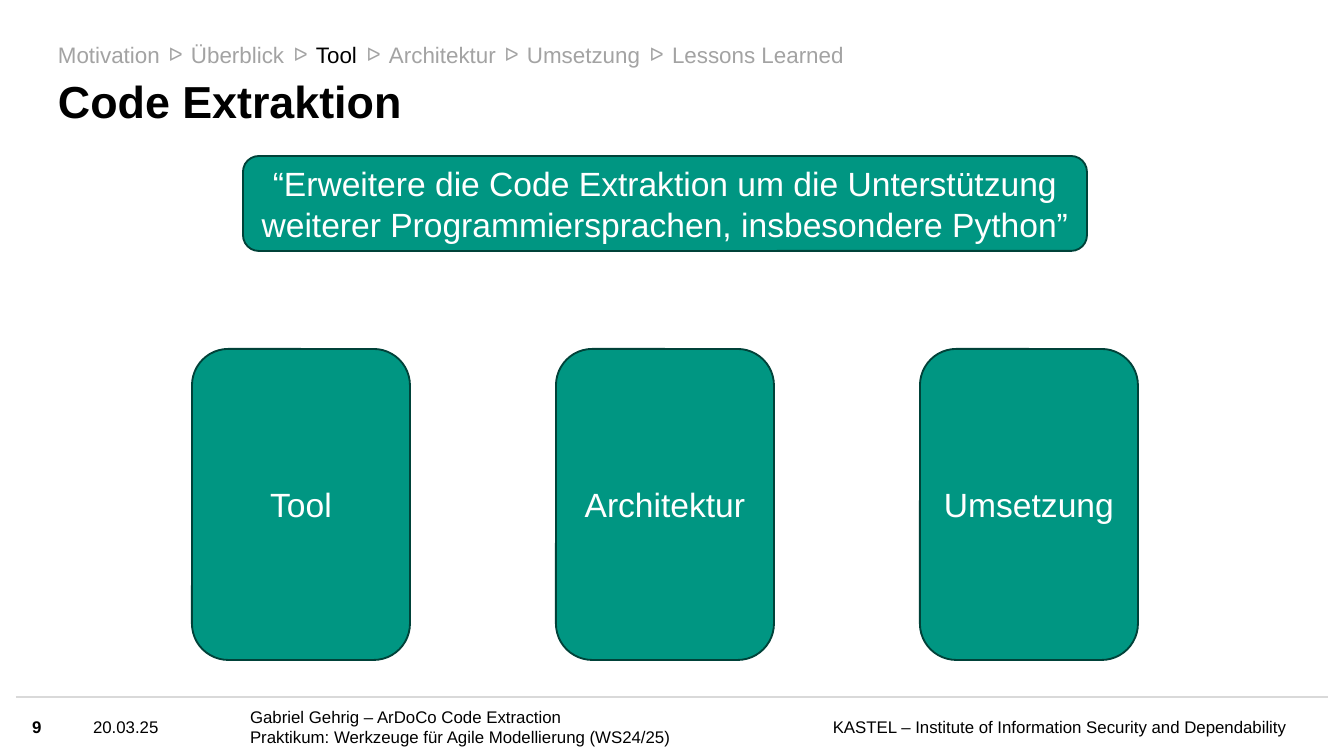
from dataclasses import dataclass

import lxml.etree
import pptx
import pptx.dml.color
import pptx.enum.shapes
import pptx.enum.text
import pptx.oxml.ns
import pptx.util

PX = 914400 / 134.4
FONT = "Arial"
COLORS = {
    "text": "000000",
    "muted": "A3A3A3",
    "rule": "D9D9D9",
    "box": "009682",
    "border": "004239",
    "on_box": "FFFFFF",
}
ALIGN = pptx.enum.text.PP_ALIGN
ANCHOR = pptx.enum.text.MSO_ANCHOR


@dataclass(frozen=True)
class Box:
    left: int
    top: int
    width: int
    height: int

    def emu(self) -> list[int]:
        return [px(n) for n in (self.left, self.top, self.width, self.height)]


@dataclass(frozen=True)
class Style:
    size: int
    color: str = "text"
    bold: bool = False
    align: ALIGN = ALIGN.LEFT


@dataclass(frozen=True)
class Crumb:
    text: str
    width: int


@dataclass(frozen=True)
class FooterItem:
    lines: tuple[str, ...]
    left: int
    width: int
    style: Style = Style(9)


CRUMBS = [
    Crumb("Motivation", 102),
    Crumb("Überblick", 94),
    Crumb("Tool", 42),
    Crumb("Architektur", 107),
    Crumb("Umsetzung", 114),
    Crumb("Lessons Learned", 172),
]
CURRENT = "Tool"
CARDS = ["Tool", "Architektur", "Umsetzung"]
FOOTER = [
    FooterItem(("9",), 32, 48, Style(9, bold=True)),
    FooterItem(("20.03.25",), 93, 150),
    FooterItem(("Gabriel Gehrig – ArDoCo Code Extraction",
                "Praktikum: Werkzeuge für Agile Modellierung (WS24/25)"), 250, 542),
    FooterItem(("KASTEL – Institute of Information Security and Dependability",),
               809, 477, Style(9, align=ALIGN.RIGHT)),
]


def px(n: int) -> int:
    return round(n * PX)


def rgb(name: str) -> pptx.dml.color.RGBColor:
    return pptx.dml.color.RGBColor.from_string(COLORS[name])


def write(tf, lines: tuple[str, ...], style: Style) -> None:
    for i, line in enumerate(lines):
        p = tf.paragraphs[0] if i == 0 else tf.add_paragraph()
        p.alignment = style.align
        r = p.add_run()
        r.text = line
        r.font.name = FONT
        r.font.size = pptx.util.Pt(style.size)
        r.font.bold = style.bold
        r.font.color.rgb = rgb(style.color)


def set_frame(tf, anchor: ANCHOR, pad: int = 0, wrap: bool = True) -> None:
    """Clear the side insets and set the vertical ones to pad."""
    tf.margin_left = tf.margin_right = 0
    tf.margin_top = tf.margin_bottom = px(pad)
    tf.vertical_anchor = anchor
    tf.word_wrap = wrap
    tf.auto_size = pptx.enum.text.MSO_AUTO_SIZE.NONE


def add_label(slide, box: Box, lines: tuple[str, ...], style: Style,
              anchor: ANCHOR = ANCHOR.MIDDLE, pad: int = 0, wrap: bool = True) -> None:
    tf = slide.shapes.add_textbox(*box.emu()).text_frame
    set_frame(tf, anchor, pad, wrap)
    write(tf, lines, style)


def add_card(slide, box: Box, text: str) -> None:
    sp = slide.shapes.add_shape(
        pptx.enum.shapes.MSO_SHAPE.ROUNDED_RECTANGLE, *box.emu())
    sp.shadow.inherit = False
    sp.fill.solid()
    sp.fill.fore_color.rgb = rgb("box")
    sp.line.color.rgb = rgb("border")
    sp.line.width = pptx.util.Pt(1)
    sp.text_frame.word_wrap = True
    sp.text_frame.vertical_anchor = ANCHOR.MIDDLE
    write(sp.text_frame, (text,), Style(18, "on_box", align=ALIGN.CENTER))


def add_breadcrumbs(slide) -> None:
    left, gap, arrow_width = 58, 31, 43
    for i, crumb in enumerate(CRUMBS):
        if i:
            arrow = Box(left - (gap + arrow_width) // 2, 36, arrow_width, 36)
            add_label(slide, arrow, ("ᐅ",), Style(10, "muted", align=ALIGN.CENTER),
                      ANCHOR.TOP, pad=7)
        color = "text" if crumb.text == CURRENT else "muted"
        add_label(slide, Box(left, 34, crumb.width, 40), (crumb.text,),
                  Style(12, color), ANCHOR.TOP, pad=7, wrap=False)
        left += crumb.width + gap


def add_title(slide, text: str) -> None:
    title = slide.shapes.title
    title.left, title.top, title.width, title.height = Box(58, 43, 1009, 85).emu()
    set_frame(title.text_frame, ANCHOR.BOTTOM)
    write(title.text_frame, (text,), Style(24, bold=True))
    title.text_frame.paragraphs[0].line_spacing = 0.9


def add_footer(slide) -> None:
    top = 697
    rule = slide.shapes.add_connector(
        pptx.enum.shapes.MSO_CONNECTOR.STRAIGHT, px(16), px(top), px(1328), px(top))
    rule.line.color.rgb = rgb("rule")
    rule.line.width = pptx.util.Pt(1)
    lxml.etree.SubElement(rule._element.spPr, pptx.oxml.ns.qn("a:effectLst"))
    for item in FOOTER:
        add_label(slide, Box(item.left, top, item.width, 59), item.lines, item.style)


def main() -> None:
    prs = pptx.Presentation()
    prs.slide_width, prs.slide_height = px(1344), px(756)
    slide = prs.slides.add_slide(prs.slide_layouts[5])
    add_footer(slide)
    add_title(slide, "Code Extraktion")
    for i, name in enumerate(CARDS):
        add_card(slide, Box(192 + 364 * i, 349, 218, 311), name)
    add_card(slide, Box(243, 156, 844, 95),
             "“Erweitere die Code Extraktion um die Unterstützung weiterer "
             "Programmiersprachen, insbesondere Python”")
    add_breadcrumbs(slide)
    prs.save("out.pptx")


if __name__ == "__main__":
    main()
